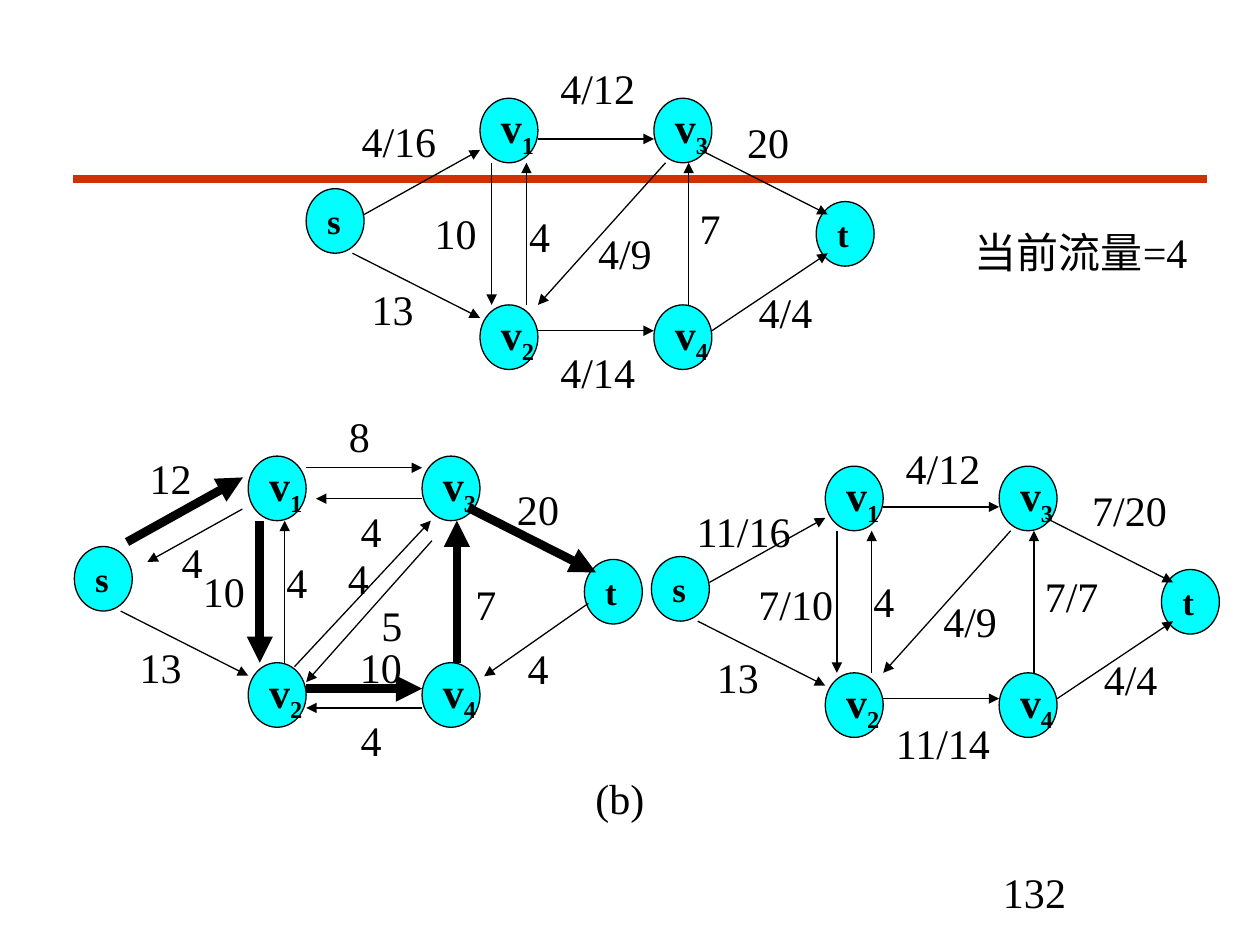
from lxml.etree import SubElement
from pptx import Presentation
from pptx.dml.color import RGBColor
from pptx.enum.shapes import MSO_CONNECTOR, MSO_SHAPE
from pptx.enum.text import MSO_ANCHOR, MSO_AUTO_SIZE, PP_ALIGN
from pptx.oxml.ns import qn
from pptx.util import Inches, Pt

THEME = {
    "font": "Times New Roman",
    "ink": RGBColor(0, 0, 0),
    "node": RGBColor(0x00, 0xFF, 0xFF),
    "rule": RGBColor(0xCC, 0x33, 0x00),
    "label": Pt(24), "terminal": Pt(20),
    "thin": Pt(0.75), "bold": Pt(5), "rule_width": Pt(4.5),
}
# One grid cell is as large as one node
COL, ROW = 0.46, 4.1 / 8

prs = Presentation()
prs.slide_width, prs.slide_height = Inches(10), Inches(7.5)
s = prs.slides.add_slide(prs.slide_layouts[6])


def add_line(x1, y1, x2, y2, color, width, arrow=True):
    """Straight line between two points in inches."""
    cxn = s.shapes.add_connector(MSO_CONNECTOR.STRAIGHT, Inches(x1), Inches(y1),
                                 Inches(x2), Inches(y2))
    cxn.line.color.rgb = color
    cxn.line.width = width
    if arrow:
        SubElement(cxn.line._get_or_add_ln(), qn("a:tailEnd"), type="triangle")
    SubElement(cxn._element.spPr, qn("a:effectLst"))


def add_label(text, cx, cy, width=None):
    """Centred text around a point in inches, as wide as its digits by default."""
    slashes = text.count("/")
    w = width or 0.2 + 0.17 * (len(text) - slashes) + 0.09 * slashes
    tf = s.shapes.add_textbox(Inches(cx - w / 2), Inches(cy - 0.25),
                              Inches(w), Inches(0.5)).text_frame
    tf.word_wrap = width is not None
    tf.auto_size = MSO_AUTO_SIZE.SHAPE_TO_FIT_TEXT
    p = tf.paragraphs[0]
    p.text = text
    p.alignment = PP_ALIGN.CENTER
    font = p.runs[0].font
    font.name, font.size, font.color.rgb = THEME["font"], THEME["label"], THEME["ink"]


# Nodes: name, subscript, column, row
NODES = [("s", "", 0, 1.4), ("v", "2", 3, 3.2), ("v", "4", 6, 3.2),
         ("t", "", 8.8, 1.6), ("v", "3", 6, 0), ("v", "1", 3, 0)]

# Edges: from column, row to column, row
S_V2 = (0.8, 2.4, 3, 3.4)
V1_V2 = (3.2, 1, 3.2, 3.2)
V2_V4 = (4, 3.6, 6, 3.6)
V4_V3 = (6.6, 3.2, 6.6, 1)
V3_T = (6.8, 0.8, 9, 1.8)
FLOW = [(1, 1.8, 3, 0.8), (4, 0.63, 6, 0.63), V3_T, S_V2, V2_V4, (7, 3.6, 9, 2.4),
        V1_V2, (3.8, 3.2, 3.8, 1), V4_V3, (6.2, 1, 4, 3.2)]
RESIDUAL = [(2.9, 0.82, 1.26, 1.64), (4, 0.18, 6, 0.18), S_V2, (3.63, 3.2, 3.63, 1),
            (6.17, 1.31, 4, 3.5), (6, 0.66, 4.17, 0.66), (3.8, 3.26, 6.15, 1),
            (6, 3.9, 4, 3.9), (8.87, 2.28, 7.07, 3.41)]
AUGMENTING = [(0.91, 1.33, 2.91, 0.33), V1_V2, V2_V4, V4_V3, V3_T]

# Graphs: left and top in inches, thin edges, bold edges, labels by centre
GRAPHS = [
    (0.59, 3.62, RESIDUAL, AUGMENTING, [
        ("12", 1.66, 0.33), ("13", 1.49, 3.26), ("8", 4.92, -0.31), ("10", 2.58, 2.09),
        ("4", 3.84, 1.95), ("20", 8, 0.82), ("4", 8, 3.28), ("7", 7.1, 2.28),
        ("4", 5.12, 4.39), ("4", 2.03, 1.64), ("4", 5.12, 1.15), ("4", 4.9, 1.89),
        ("10", 5.29, 3.26), ("5", 5.48, 2.61)]),
    (5.17, 3.7, FLOW, [], [
        ("11/16", 1.59, 1), ("13", 1.49, 3.26), ("4/12", 5.03, 0.02),
        ("7/10", 2.49, 2.13), ("4", 4.01, 2.09), ("7/20", 8.25, 0.68),
        ("4/4", 8.27, 3.3), ("7/7", 7.25, 2.01), ("11/14", 5.03, 4.29),
        ("4/9", 5.5, 2.4)]),
    (2.43, 0.78, FLOW, [], [
        ("4/16", 1.6, 0.66), ("13", 1.49, 3.26), ("4/12", 5.03, -0.16),
        ("10", 2.58, 2.09), ("4", 4.03, 2.13), ("20", 7.97, 0.68), ("4/4", 8.27, 3.3),
        ("7", 6.97, 2.01), ("4/14", 5.03, 4.23), ("4/9", 5.5, 2.4)]),
]

# Red rule behind everything
add_line(0.58, 1.42, 9.58, 1.42, THEME["rule"], THEME["rule_width"], arrow=False)

for left, top, thin, bold, labels in GRAPHS:
    # Nodes
    for name, sub, col, row in NODES:
        sp = s.shapes.add_shape(MSO_SHAPE.OVAL, Inches(left + col * COL),
                                Inches(top + row * ROW), Inches(COL), Inches(ROW))
        sp.shadow.inherit = False
        sp.fill.solid()
        sp.fill.fore_color.rgb = THEME["node"]
        sp.line.color.rgb = THEME["ink"]
        sp.line.width = THEME["thin"]
        tf = sp.text_frame
        tf.word_wrap = False
        tf.vertical_anchor = MSO_ANCHOR.MIDDLE
        p = tf.paragraphs[0]
        p.alignment = PP_ALIGN.LEFT
        for text in filter(None, (name, sub)):
            r = p.add_run()
            r.text = text
            r.font.name, r.font.bold = THEME["font"], True
            r.font.size = THEME["label"] if sub else THEME["terminal"]
            r.font.color.rgb = THEME["ink"]
            if text == sub:
                r._r.get_or_add_rPr().set("baseline", "-25000")

    # Edges
    for edges, weight in ((thin, "thin"), (bold, "bold")):
        for x1, y1, x2, y2 in edges:
            add_line(left + x1 * COL, top + y1 * ROW, left + x2 * COL, top + y2 * ROW,
                     THEME["ink"], THEME[weight])

    # Capacities and flows
    for text, col, row in labels:
        add_label(text, left + col * COL, top + row * ROW)

# Caption, current flow and page number
add_label("(b)", 4.92, 6.33)
add_label("当前流量=4", 8.58, 2, 2.05)
add_label("132", 8.21, 7.08, 2.08)

prs.save("out.pptx")
